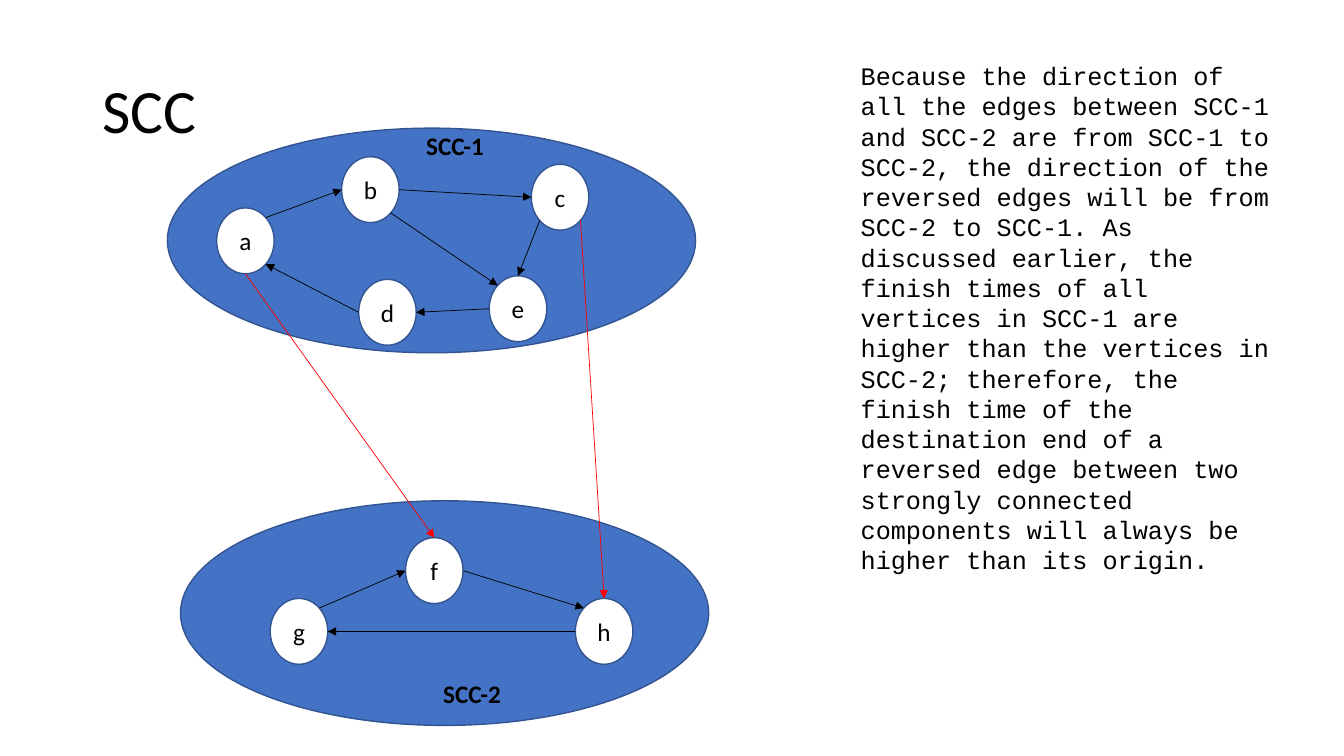
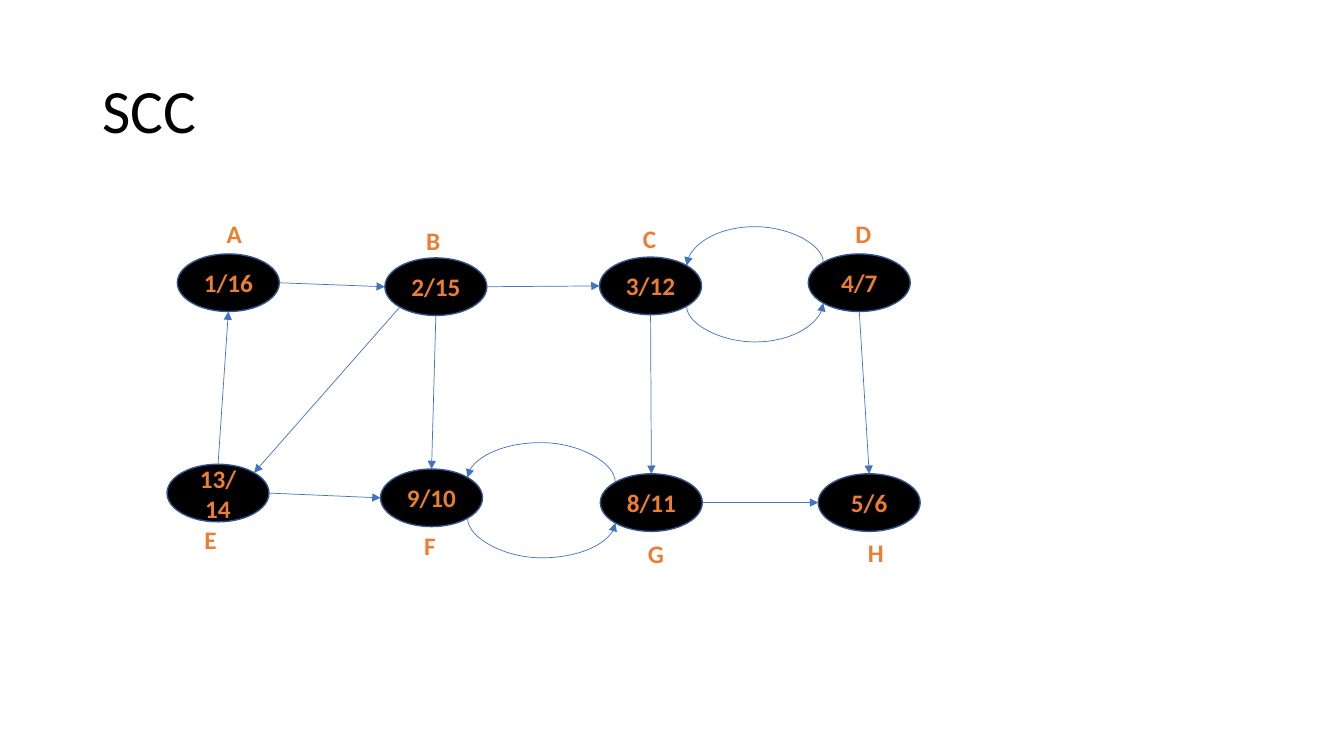
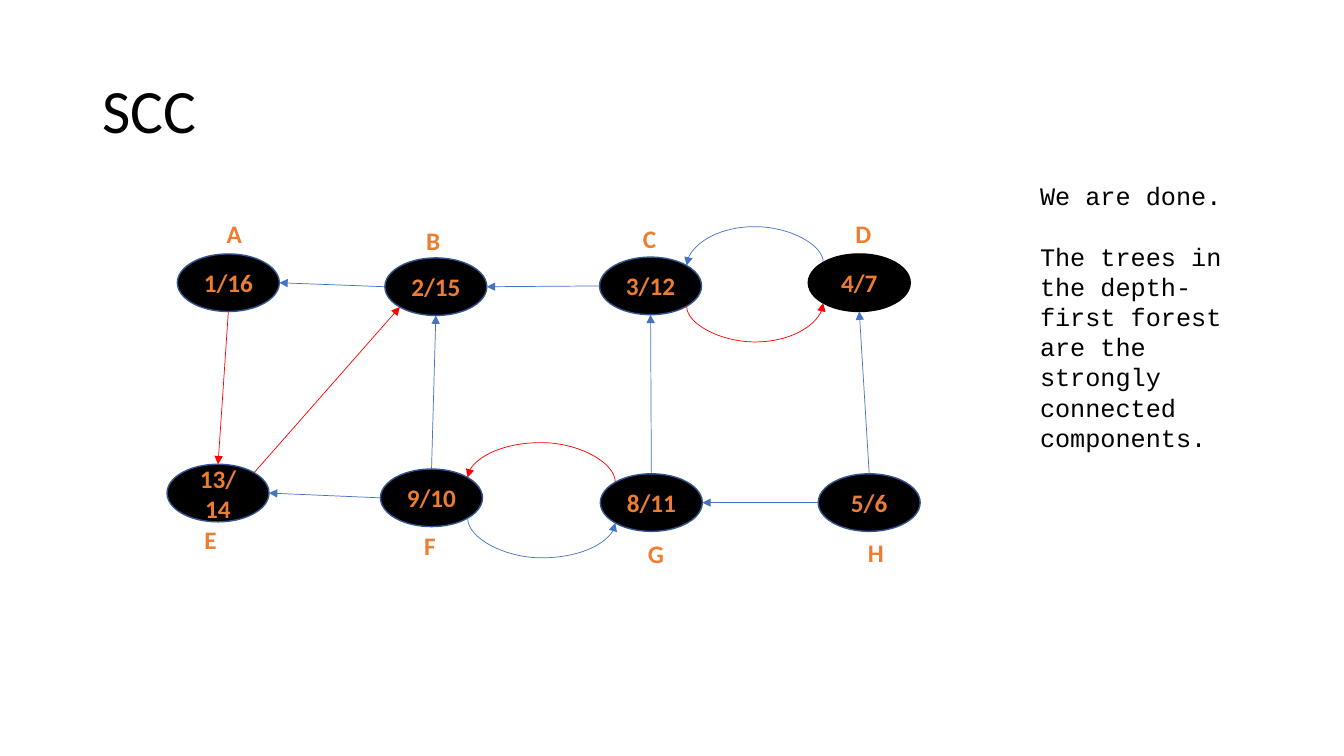
import math

import lxml.etree
import pptx
import pptx.dml.color
import pptx.enum.shapes
import pptx.enum.text
import pptx.oxml.ns
import pptx.util
from pptx.util import Cm, Pt

BLACK, WHITE, BLUE, NAVY, RED, ORANGE = "000000", "FFFFFF", "4472C4", "325491", "FF0000", "ED7D31"
qn = pptx.oxml.ns.qn


def rgb(value):
    return pptx.dml.color.RGBColor.from_string(value)


def add_arrow(slide, start, end, color, bulge=0):
    points = []
    for shape, site in (start, end):
        angle = math.radians(45 * site)
        points.append((
            round(shape.left + shape.width / 2 * (1 - math.sin(angle))),
            round(shape.top + shape.height / 2 * (1 - math.cos(angle))),
        ))
    (x1, y1), (x2, y2) = points
    if bulge:
        middle_x, middle_y = (x1 + x2) / 2, (y1 + y2) / 2
        half_x, half_y = (x2 - x1) / 2, (y2 - y1) / 2
        connector = slide.shapes.add_connector(
            pptx.enum.shapes.MSO_CONNECTOR.CURVE,
            round(middle_x - half_y), round(middle_y + half_x),
            round(middle_x + half_y), round(middle_y - half_x),
        )
        connector.element.spPr.find(qn("a:xfrm")).set("rot", "5400000")
        adjustments = connector.element.spPr.find(qn("a:prstGeom")).find(qn("a:avLst"))
        ratio = round(100000 * Cm(bulge) / (y2 - y1))
        lxml.etree.SubElement(adjustments, qn("a:gd"), name="adj1", fmla=f"val {ratio}")
    else:
        connector = slide.shapes.add_connector(
            pptx.enum.shapes.MSO_CONNECTOR.STRAIGHT, x1, y1, x2, y2
        )
        joints = connector.element.find(".//" + qn("p:cNvCxnSpPr"))
        for tag, (shape, site) in (("a:stCxn", start), ("a:endCxn", end)):
            lxml.etree.SubElement(joints, qn(tag), id=str(shape.shape_id), idx=str(site))
    connector.line.color.rgb = rgb(color)
    connector.line.width = Pt(0.5)
    properties = connector.element.spPr
    lxml.etree.SubElement(properties.find(qn("a:ln")), qn("a:tailEnd"), type="triangle")
    lxml.etree.SubElement(properties, qn("a:effectLst"))


component_ellipses = [
    ("SCC-1", "", 4.22, 3.23, 13.31, 5.66, BLUE, NAVY),
    ("SCC-2", "", 4.55, 12.62, 13.31, 5.66, BLUE, NAVY),
]
component_nodes = [
    (name, name, left, top, 1.45, 1.66, WHITE, NAVY)
    for name, left, top in [
        ("a", 5.46, 5.24), ("b", 8.61, 3.95), ("c", 13.39, 4.14), ("d", 9.04, 7.04),
        ("e", 12.33, 6.95), ("f", 10.22, 13.55), ("g", 6.81, 15.08), ("h", 14.5, 15.08),
    ]
]
component_edges = [("a4", "f0", RED, 0), ("c5", "h0", RED, 0)] + [
    (start, end, BLACK, 0)
    for start, end in [
        ("a7", "b2"), ("b5", "e1"), ("e2", "d6"), ("d2", "a5"), ("b6", "c2"),
        ("c3", "e0"), ("g7", "f2"), ("f6", "h1"), ("h2", "g6"),
    ]
]
component_labels = [("SCC-1", 10.49, 3.15, 2.59), ("SCC-2", 10.92, 16.97, 2.59)]

times = [
    ("A", "1/16", 4.47, 6.4), ("B", "2/15", 9.7, 6.5),
    ("C", "3/12", 15.11, 6.48), ("D", "4/7", 20.37, 6.4),
    ("E", "13/\n14", 4.21, 11.7), ("F", "9/10", 9.59, 11.82),
    ("G", "8/11", 15.13, 11.94), ("H", "5/6", 20.62, 11.94),
]
time_labels = [
    (name, left, top, 0.91)
    for name, left, top in [
        ("A", 5.46, 5.38), ("B", 10.49, 5.56), ("C", 15.95, 5.51), ("D", 21.31, 5.38),
        ("E", 4.9, 13.08), ("F", 10.44, 13.23), ("G", 16.08, 13.44), ("H", 21.62, 13.41),
    ]
]
straight_edges = [
    ("A6", "B2"), ("B6", "C2"), ("B3", "E7"), ("B4", "F0"), ("E6", "F2"),
    ("E0", "A4"), ("D4", "H0"), ("C4", "G0"), ("G6", "H2"),
]
curved_edges = [("F5", "G3", 1), ("C5", "D3", 0.9), ("D1", "C7", -0.9), ("G1", "F7", -1)]
tree_edges = [("A4", "E0"), ("E7", "B3"), ("C5", "D3"), ("G1", "F7")]

graphs = [(
    component_ellipses + component_nodes, component_edges, component_labels, BLACK, False,
    (21.44, 1.4, 11.1, 11.79),
    ["Because the direction of all the edges between SCC-1 and SCC-2 are from SCC-1 to SCC-2, "
     "the direction of the reversed edges will be from SCC-2 to SCC-1. As discussed earlier, "
     "the finish times of all vertices in SCC-1 are higher than the vertices in SCC-2; "
     "therefore, the finish time of the destination end of a reversed edge between two "
     "strongly connected components will always be higher than its origin."],
)]
conclusion = [
    "We are done.",
    "The trees in the depth-first forest are the strongly connected components.",
]
for is_reversed, remarks in ((False, []), (True, conclusion)):
    nodes = [
        (name, text, left, top, 2.57, 1.45, BLACK, BLACK if is_reversed and name == "D" else NAVY)
        for name, text, left, top in times
    ]
    edges = [
        (end, start, 0) if is_reversed else (start, end, 0) for start, end in straight_edges
    ] + curved_edges
    colored_edges = [
        (start, end, RED if is_reversed and (start, end) in tree_edges else BLUE, bulge)
        for start, end, bulge in edges
    ]
    graphs.append(
        (nodes, colored_edges, time_labels, ORANGE, True, (25.96, 4.42, 5.87, 6.4), remarks)
    )

presentation = pptx.Presentation()
presentation.slide_width = Cm(33.87)
presentation.slide_height = Cm(19.05)
layout = presentation.slide_layouts[5]
layout_title = layout.placeholders[0]
layout_title.left, layout_title.top = Cm(2.33), Cm(1.01)
layout_title.width, layout_title.height = Cm(29.21), Cm(3.68)

for nodes, edges, labels, text_color, is_bold, remark_box, remarks in graphs:
    slide = presentation.slides.add_slide(layout)
    title = slide.shapes.title
    title.text_frame.text = "SCC"
    title.text_frame.vertical_anchor = pptx.enum.text.MSO_ANCHOR.MIDDLE
    paragraph = title.text_frame.paragraphs[0]
    paragraph.alignment = pptx.enum.text.PP_ALIGN.LEFT
    paragraph.line_spacing = 0.9
    paragraph.font.name = "Calibri"
    paragraph.font.size = Pt(44)
    paragraph.font.color.rgb = rgb(BLACK)

    ellipses = {}
    for name, text, left, top, width, height, fill, outline in nodes:
        shape = slide.shapes.add_shape(
            pptx.enum.shapes.MSO_SHAPE.OVAL, Cm(left), Cm(top), Cm(width), Cm(height)
        )
        shape.shadow.inherit = False
        shape.fill.solid()
        shape.fill.fore_color.rgb = rgb(fill)
        shape.line.color.rgb = rgb(outline)
        shape.line.width = Pt(1)
        ellipses[name] = shape
        if text:
            shape.text_frame.text = text
            shape.text_frame.vertical_anchor = pptx.enum.text.MSO_ANCHOR.MIDDLE
            for paragraph in shape.text_frame.paragraphs:
                paragraph.alignment = pptx.enum.text.PP_ALIGN.CENTER
                paragraph.font.name = "Calibri"
                paragraph.font.size = Pt(18)
                paragraph.font.bold = is_bold
                paragraph.font.color.rgb = rgb(text_color)

    for start, end, color, bulge in edges:
        add_arrow(
            slide,
            (ellipses[start[0]], int(start[1])),
            (ellipses[end[0]], int(end[1])),
            color, bulge,
        )

    text_boxes = [
        ((left, top, width, 1.02), [text], "Calibri", True, text_color)
        for text, left, top, width in labels
    ]
    if remarks:
        text_boxes.append((remark_box, remarks, "Courier New", False, BLACK))
    for box, lines, font_name, bold, color in text_boxes:
        shape = slide.shapes.add_textbox(*[Cm(length) for length in box])
        shape.text_frame.word_wrap = True
        shape.text_frame.auto_size = pptx.enum.text.MSO_AUTO_SIZE.SHAPE_TO_FIT_TEXT
        shape.text_frame.text = "\n".join(lines)
        for index, paragraph in enumerate(shape.text_frame.paragraphs):
            paragraph.space_before = Pt(21.6 if index else 0)
            paragraph.font.name = font_name
            paragraph.font.size = Pt(18)
            paragraph.font.bold = bold
            paragraph.font.color.rgb = rgb(color)

presentation.save("out.pptx")
